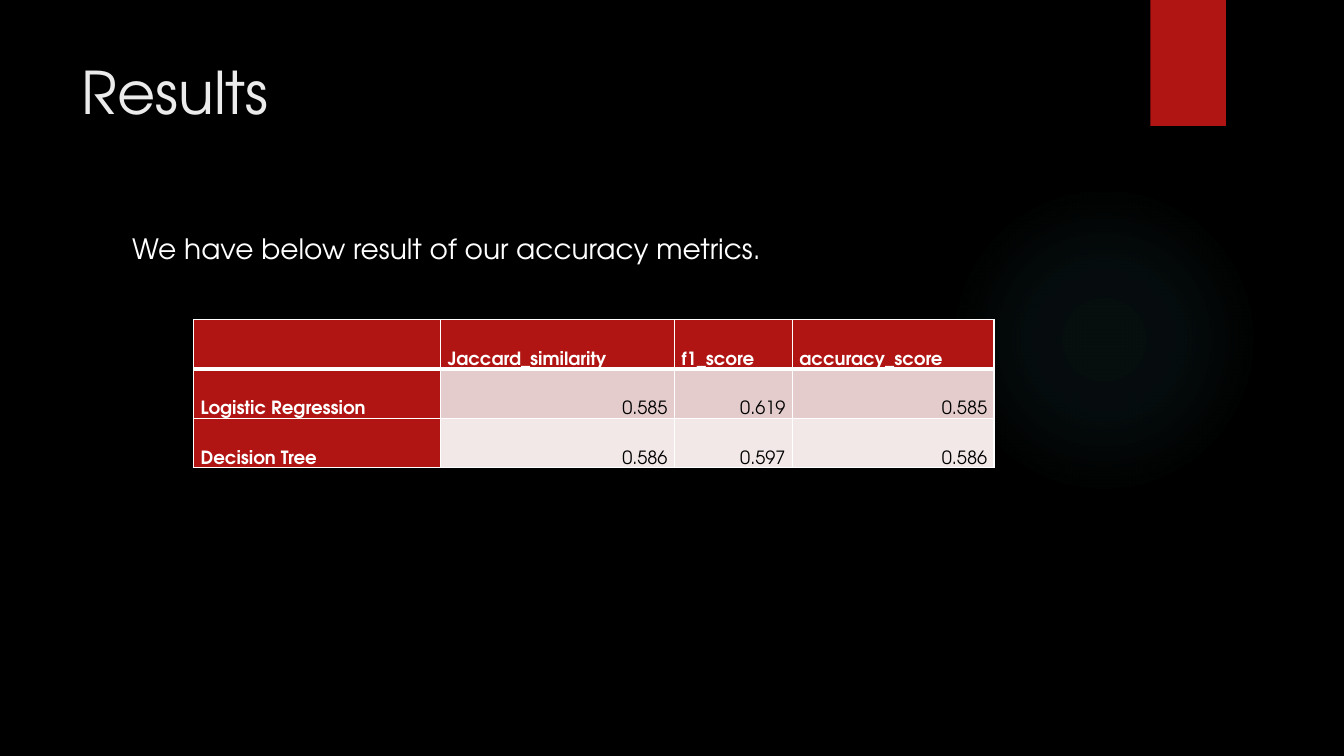
from lxml import etree
from pptx import Presentation, util as u
from pptx.dml import color
from pptx.enum import shapes, text
from pptx.oxml import ns, parse_xml

FONT = "TeX Gyre Adventor"
RED, WHITE, BLACK = "B01513", "FFFFFF", "000000"
HEAD = ["", "Jaccard_similarity", "f1_score", "accuracy_score"]
ROWS = [
    HEAD,
    ["Logistic Regression", "0.585", "0.619", "0.585"],
    ["Decision Tree", "0.586", "0.597", "0.586"],
]
BANDS = [RED, "E4CCCC", "F2E8E7"]
WIDTHS = [2.45, 2.32, 1.17, 2]


def rgb(code):
    """Turn a hex string into a colour."""
    return color.RGBColor.from_string(code)


def sub(node, tag, **attrs):
    """Add a drawing element under a node."""
    return etree.SubElement(node, ns.qn("a:" + tag), attrs)


def tint(node, code, alpha):
    """Add a colour with an opacity in percent."""
    sub(sub(node, "srgbClr", val=code), "alpha", val=str(alpha * 1000))


def write(para, words, size, code, bold=False):
    """Add one formatted run to a paragraph."""
    run = para.add_run()
    run.text = words
    font = run.font
    font.name, font.size, font.bold = FONT, u.Pt(size), bold
    font.color.rgb = rgb(code)


def block(slide, kind, *box):
    """Add a plain shape without line or shadow."""
    item = slide.shapes.add_shape(kind, *map(u.Inches, box))
    item.line.fill.background()
    item.shadow.inherit = False
    return item


def glow(slide):
    """Draw the faint round glow."""
    props = block(slide, shapes.MSO_SHAPE.OVAL, 9.41, 1.83, 3.08, 3.08)._element.spPr
    grad = parse_xml(f'<a:gradFill {ns.nsdecls("a")} rotWithShape="1"/>')
    stops = sub(grad, "gsLst")
    for pos, alpha in [(0, 7), (36, 6), (69, 0)]:
        tint(sub(stops, "gs", pos=str(pos * 1000)), "50B9C1", alpha)
    ring = sub(grad, "path", path="circle")
    sub(ring, "fillToRect", **dict.fromkeys("ltrb", "50000"))
    props.find(ns.qn("a:prstGeom")).addnext(grad)


def ribbon(slide):
    """Draw the red ribbon with its soft shadow."""
    item = block(slide, shapes.MSO_SHAPE.RECTANGLE, 11.41, 0, 0.75, 1.25)
    item.fill.solid()
    item.fill.fore_color.rgb = rgb(RED)
    effects = item._element.spPr.find(ns.qn("a:effectLst"))
    shade = sub(effects, "outerShdw", blurRad=str(u.Pt(3)), dist=str(u.Pt(2)),
                dir="5400000", rotWithShape="0")
    tint(shade, BLACK, 45)


def fill_in(slide, holder, box, words, size, code):
    """Place a placeholder and write its text in front."""
    holder.left, holder.top, holder.width, holder.height = map(u.Inches, box)
    frame = holder.text_frame
    frame.word_wrap = True
    frame.auto_size = text.MSO_AUTO_SIZE.NONE
    frame.vertical_anchor = text.MSO_ANCHOR.TOP
    para = frame.paragraphs[0]
    para.alignment = text.PP_ALIGN.LEFT
    write(para, words, size, code)
    slide.shapes._spTree.append(holder._element)
    return para


def edge(cell, row):
    """Draw white cell borders, thick below the header."""
    props = cell._tc.get_or_add_tcPr()
    thick = {0: "B", 1: "T"}.get(row)
    for side in "LRTB":
        width = 3 if side == thick else 1
        line = sub(props, "ln" + side, w=str(u.Pt(width)))
        sub(sub(line, "solidFill"), "srgbClr", val=WHITE)


def scores(slide):
    """Build the table of scores."""
    box = map(u.Inches, (1.92, 3.17, sum(WIDTHS), 1.47))
    table = slide.shapes.add_table(len(ROWS), len(HEAD), *box).table
    for col, width in zip(table.columns, WIDTHS):
        col.width = u.Inches(width)
    for r, row in enumerate(ROWS):
        table.rows[r].height = u.Inches(0.49)
        for c, words in enumerate(row):
            cell = table.cell(r, c)
            label = r == 0 or c == 0
            edge(cell, r)
            cell.fill.solid()
            cell.fill.fore_color.rgb = rgb(RED if label else BANDS[r])
            cell.margin_left = cell.margin_right = u.Inches(0.07)
            cell.margin_top = cell.margin_bottom = 0
            cell.vertical_anchor = text.MSO_ANCHOR.BOTTOM
            if words:
                para = cell.text_frame.paragraphs[0]
                para.line_spacing = 1.07
                para.alignment = text.PP_ALIGN.LEFT if label else text.PP_ALIGN.RIGHT
                write(para, words, 13, WHITE if label else BLACK, label)


def main():
    """Build and save the slide."""
    deck = Presentation()
    deck.slide_width, deck.slide_height = u.Inches(13.33), u.Inches(7.5)
    slide = deck.slides.add_slide(deck.slide_layouts[1])
    slide.background.fill.solid()
    slide.background.fill.fore_color.rgb = rgb(BLACK)
    glow(slide)
    ribbon(slide)
    title, body = slide.placeholders
    fill_in(slide, title, (0.71, 0.5, 10.29, 1.53), "Results", 42, "EBEBEB")
    para = fill_in(slide, body, (1.21, 2.25, 9.78, 4.59),
                   "We have below result of our accuracy metrics.", 20, WHITE)
    para.space_before = u.Pt(10)
    props = para._p.get_or_add_pPr()
    props.set("marL", "0")
    props.set("indent", "0")
    sub(props, "buNone")
    scores(slide)
    deck.save("out.pptx")


if __name__ == "__main__":
    main()
